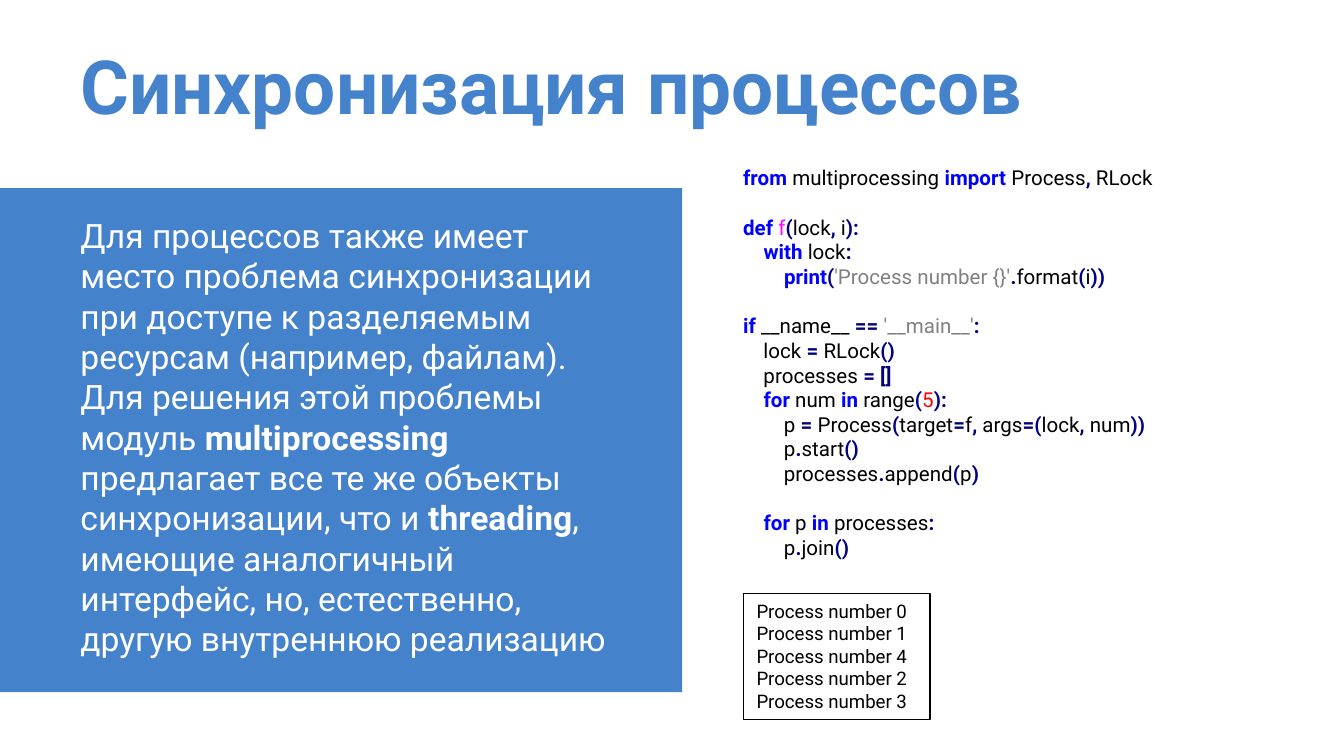
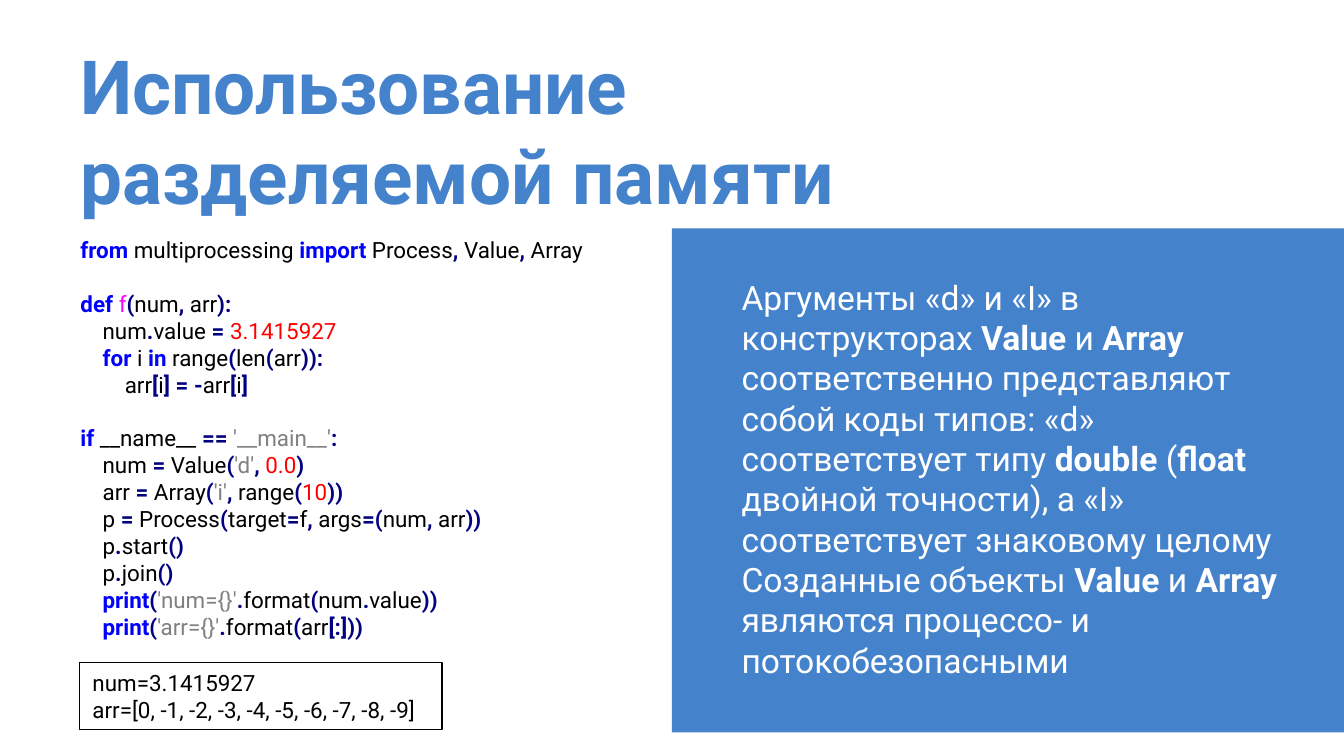
from dataclasses import dataclass
from itertools import groupby
from typing import Iterator, NamedTuple

from pptx import Presentation
from pptx import util as u
from pptx.dml.color import RGBColor
from pptx.enum import shapes, text

FONT = "Roboto"
BLUE, WHITE, BLACK = "4482CC", "FFFFFF", "000000"
KEYWORD, FUNCTION, OPERATOR = "0000FF", "FF00FF", "000080"
STRING, NUMBER = "808080", "FF0000"
KEYWORDS = {"from", "import", "def", "with", "print", "if", "for", "in"}
LINE_HEIGHT = 1.2
MARGIN = 36
TITLE_TOP = 14.4


class Box(NamedTuple):
    left: float
    top: float
    width: float
    height: float


class Span(NamedTuple):
    text: str
    color: str
    bold: bool = False


@dataclass
class Topic:
    title: str
    title_width: float
    panel: Box
    body: str
    body_box: Box
    code: str
    code_box: Box
    code_size: float
    output: str
    output_box: Box
    output_size: float


SYNC_CODE = """from multiprocessing import Process, RLock

def f(lock, i):
    with lock:
        print('Process number {}'.format(i))

if __name__ == '__main__':
    lock = RLock()
    processes = []
    for num in range(5):
        p = Process(target=f, args=(lock, num))
        p.start()
        processes.append(p)

    for p in processes:
        p.join()"""

MEMORY_CODE = """from multiprocessing import Process, Value, Array

def f(num, arr):
    num.value = 3.1415927
    for i in range(len(arr)):
        arr[i] = -arr[i]

if __name__ == '__main__':
    num = Value('d', 0.0)
    arr = Array('i', range(10))
    p = Process(target=f, args=(num, arr))
    p.start()
    p.join()
    print('num={}'.format(num.value))
    print('arr={}'.format(arr[:]))"""

TOPICS = [
    Topic(
        title="Синхронизация процессов",
        title_width=639.4,
        panel=Box(0, 100.8, 365.5, 270),
        body="Для процессов также имеет место проблема синхронизации при доступе "
             "к разделяемым ресурсам (например, файлам). Для решения этой проблемы "
             "модуль **multiprocessing **предлагает все те же объекты синхронизации, "
             "что и **threading**, имеющие аналогичный интерфейс, но, естественно, "
             "другую внутреннюю реализацию",
        body_box=Box(MARGIN, 111.6, 306, 247),
        code=SYNC_CODE,
        code_box=Box(391, 85, 277.2, 220.3),
        code_size=11,
        output="\n".join(f"Process number {n}" for n in (0, 1, 4, 2, 3)),
        output_box=Box(398.2, 317.8, 100.1, 67.6),
        output_size=10,
    ),
    Topic(
        title="Использование разделяемой памяти",
        title_width=498.2,
        panel=Box(360, 122.4, 360, 270),
        body="Аргументы «d» и «I» в конструкторах **Value **и **Array **соответственно "
             "представляют собой коды типов: «d» соответствует типу **double** (**float "
             "**двойной точности), а «I» соответствует знаковому целому Созданные "
             "объекты **Value **и **Array **являются процессо- и потокобезопасными",
        body_box=Box(390.2, 144.7, 308.2, 225.4),
        code=MEMORY_CODE,
        code_box=Box(MARGIN, 123.1, 671, 225.4),
        code_size=12,
        output="num=3.1415927\narr=[0, -1, -2, -3, -4, -5, -6, -7, -8, -9]",
        output_box=Box(42.5, 355, 194.4, 36),
        output_size=12,
    ),
]


def rgb(color: str) -> RGBColor:
    return RGBColor.from_string(color)


def place(box: Box) -> list[u.Length]:
    return [u.Pt(value) for value in box]


def token_end(line: str, start: int) -> int:
    first = line[start]
    if first == "'":
        return line.index("'", start + 1) + 1
    end = start + 1
    if first.isdigit():
        while end < len(line) and (line[end].isdigit() or line[end] == "."):
            end += 1
    elif first.isalpha() or first == "_":
        while end < len(line) and (line[end].isalnum() or line[end] == "_"):
            end += 1
    return end


def style_token(token: str, previous: str) -> Span:
    if token in KEYWORDS:
        return Span(token, KEYWORD, True)
    if previous == "def":
        return Span(token, FUNCTION)
    if token[0] == "'":
        return Span(token, STRING)
    if token[0].isdigit():
        return Span(token, NUMBER)
    if token[0].isalpha() or token[0] == "_":
        return Span(token, BLACK)
    return Span(token, OPERATOR, True)


def tokenize(line: str) -> Iterator[Span]:
    start = len(line) - len(line.lstrip())
    if start:
        yield Span(line[:start], BLACK)
    previous = ""
    while start < len(line):
        end = token_end(line, start)
        token = line[start:end]
        span = style_token(token, previous)
        while end < len(line) and line[end] == " ":
            end += 1
        yield span._replace(text=line[start:end])
        start, previous = end, token


def highlight(line: str) -> list[Span]:
    groups = groupby(tokenize(line), key=lambda span: span[1:])
    return [Span("".join(s.text for s in spans), *style) for style, spans in groups]


def emphasize(body: str) -> list[Span]:
    parts = body.split("**")
    return [Span(part, WHITE, i % 2 == 1) for i, part in enumerate(parts)]


def write(sp, lines: list[list[Span]], size: float) -> None:
    tf = sp.text_frame
    tf.word_wrap = True
    tf.vertical_anchor = text.MSO_ANCHOR.TOP
    p, gap = tf.paragraphs[0], 0
    for i, spans in enumerate(lines):
        if not spans:
            gap += size * LINE_HEIGHT
            continue
        if i:
            p = tf.add_paragraph()
        p.alignment = text.PP_ALIGN.LEFT
        if gap:
            p.space_before = u.Pt(gap)
            gap = 0
        for span in spans:
            r = p.add_run()
            r.text = span.text
            r.font.name = FONT
            r.font.size = u.Pt(size)
            r.font.bold = span.bold
            r.font.color.rgb = rgb(span.color)


def add_text(s, box: Box, lines: list[list[Span]], size: float):
    sp = s.shapes.add_textbox(*place(box))
    write(sp, lines, size)
    return sp


def add_rect(s, box: Box):
    sp = s.shapes.add_shape(shapes.MSO_SHAPE.RECTANGLE, *place(box))
    sp.shadow.inherit = False
    return sp


def add_title(s, title: str, width: float) -> None:
    box = Box(MARGIN, TITLE_TOP, width, 54.7)
    sp = add_text(s, box, [[Span(title, BLUE, True)]], 40)
    sp.text_frame.margin_top = sp.text_frame.margin_bottom = u.Pt(7.2)


def add_panel(s, box: Box) -> None:
    sp = add_rect(s, box)
    sp.fill.solid()
    sp.fill.fore_color.rgb = rgb(BLUE)
    sp.line.fill.background()


def add_output(s, box: Box, output: str, size: float) -> None:
    sp = add_rect(s, box)
    sp.fill.background()
    sp.line.color.rgb = rgb(BLACK)
    sp.line.width = u.Pt(0.75)
    write(sp, [[Span(line, BLACK)] for line in output.splitlines()], size)


def add_topic(prs, topic: Topic) -> None:
    s = prs.slides.add_slide(prs.slide_layouts[6])
    add_panel(s, topic.panel)
    add_title(s, topic.title, topic.title_width)
    add_text(s, topic.body_box, [emphasize(topic.body)], 18)
    code = [highlight(line) for line in topic.code.splitlines()]
    add_text(s, topic.code_box, code, topic.code_size)
    add_output(s, topic.output_box, topic.output, topic.output_size)


def main() -> None:
    prs = Presentation()
    prs.slide_width, prs.slide_height = u.Pt(720), u.Pt(405)
    for topic in TOPICS:
        add_topic(prs, topic)
    prs.save("out.pptx")


if __name__ == "__main__":
    main()
